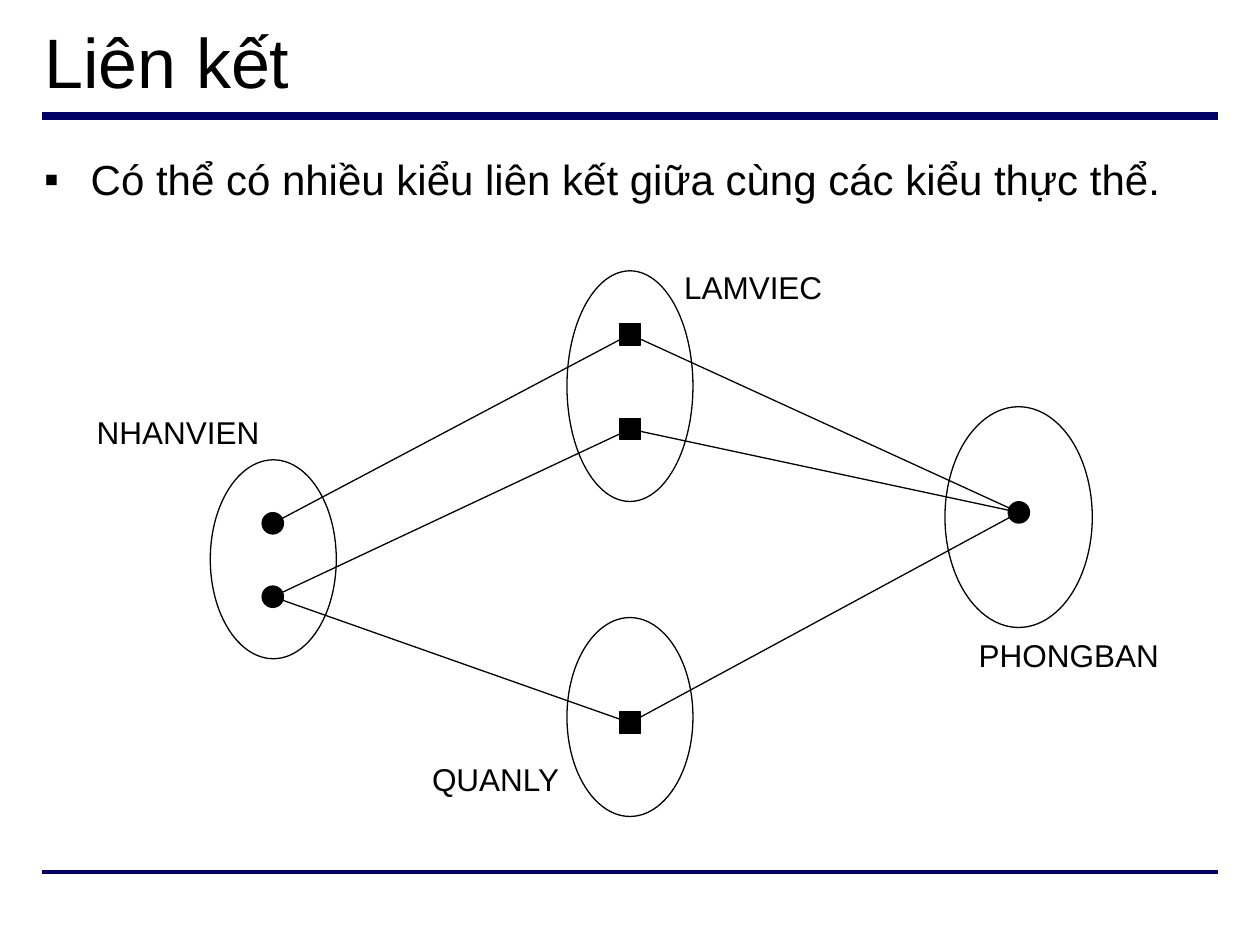
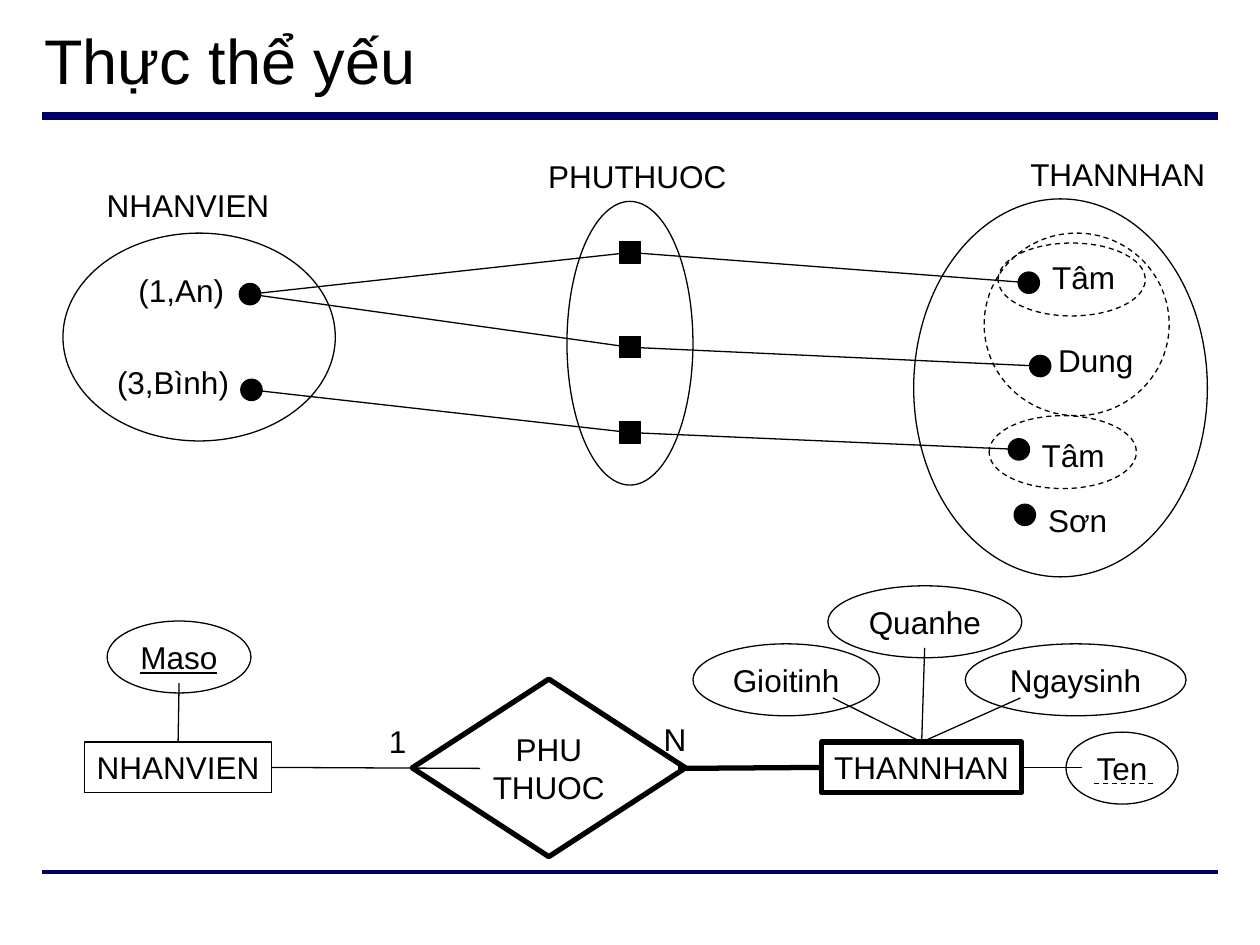
from lxml.etree import SubElement
from pptx import Presentation
from pptx.dml.color import RGBColor
from pptx.enum.dml import MSO_LINE
from pptx.enum.shapes import MSO_CONNECTOR, MSO_SHAPE
from pptx.enum.text import MSO_ANCHOR, MSO_AUTO_SIZE, PP_ALIGN
from pptx.oxml.ns import qn
from pptx.util import Cm, Pt

BLACK = RGBColor(0x00, 0x00, 0x00)
WHITE = RGBColor(0xFF, 0xFF, 0xFF)
NAVY = RGBColor(0x00, 0x00, 0x66)
FONT = "Arial"
THIN, THICK = 0.75, 3
MARK = 0.43
ROW = 1.02
OVAL = 1.45
MID = 12.7
TOP, LEFT, RIGHT = 0, 1, 3


def style(frame, size=18, align=PP_ALIGN.LEFT):
    for para in frame.paragraphs:
        para.alignment = align
        for run in para.runs:
            run.font.name = FONT
            run.font.size = Pt(size)
            run.font.color.rgb = BLACK


def add_line(slide, start, end, width=THIN, color=BLACK, dash=None):
    line = slide.shapes.add_connector(
        MSO_CONNECTOR.STRAIGHT, *(Cm(v) for v in (*start, *end)))
    line.line.color.rgb = color
    line.line.width = Pt(width)
    if dash:
        line.line.dash_style = dash
    SubElement(line._element.spPr, qn("a:effectLst"))
    return line


def add_link(slide, start, box, side, width=THIN):
    add_line(slide, start, start, width).end_connect(box, side)


def add_node(slide, kind, box, text="", fill=WHITE, width=THIN, dash=None):
    node = slide.shapes.add_shape(kind, *(Cm(v) for v in box))
    node.shadow.inherit = False
    if fill is None:
        node.fill.background()
    else:
        node.fill.solid()
        node.fill.fore_color.rgb = fill
    node.line.color.rgb = BLACK
    node.line.width = Pt(width)
    if dash:
        node.line.dash_style = dash
    if text:
        frame = node.text_frame
        frame.word_wrap = False
        frame.vertical_anchor = MSO_ANCHOR.MIDDLE
        frame.text = text
        style(frame, align=PP_ALIGN.CENTER)
    return node


def add_set(slide, *box, dash=None):
    add_node(slide, MSO_SHAPE.OVAL, box, fill=None, dash=dash)


def add_mark(slide, kind, point):
    x, y = point
    box = (x - MARK / 2, y - MARK / 2, MARK, MARK)
    add_node(slide, kind, box, fill=BLACK)


def add_marks(slide, dots, squares):
    for dot in dots:
        add_mark(slide, MSO_SHAPE.OVAL, dot)
    for square in squares:
        add_mark(slide, MSO_SHAPE.RECTANGLE, square)


def add_label(slide, text, x, y, width):
    box = slide.shapes.add_textbox(Cm(x), Cm(y), Cm(width), Cm(ROW))
    frame = box.text_frame
    frame.word_wrap = True
    frame.auto_size = MSO_AUTO_SIZE.SHAPE_TO_FIT_TEXT
    frame.text = text
    style(frame)


def add_bullet(slide, text):
    box = slide.shapes.add_textbox(Cm(0.64), Cm(2.97), Cm(24.13), Cm(14.07))
    frame = box.text_frame
    frame.word_wrap = True
    frame.text = text
    props = frame.paragraphs[0]._p.get_or_add_pPr()
    props.set("marL", str(Cm(0.94)))
    props.set("indent", str(-Cm(0.94)))
    SubElement(SubElement(props, qn("a:buClr")), qn("a:srgbClr"), val=str(BLACK))
    SubElement(props, qn("a:buFont"), typeface=FONT)
    SubElement(props, qn("a:buChar"), char="▪")
    style(frame, 24)


def add_page(deck, text, size, y, height):
    slide = deck.slides.add_slide(deck.slide_layouts[5])
    for level, width in ((2.34, 4.5), (17.58, 2.25)):
        add_line(slide, (0.84, level), (24.56, level), width, NAVY)
    title = slide.shapes.title
    title.left, title.top = Cm(0.64), Cm(y)
    title.width, title.height = Cm(24.13), Cm(height)
    frame = title.text_frame
    frame.auto_size = MSO_AUTO_SIZE.NONE
    frame.vertical_anchor = MSO_ANCHOR.MIDDLE
    frame.text = text
    style(frame, size)
    return slide


def draw_links(deck):
    slide = add_page(deck, "Liên kết", 40, 0.23, 1.96)
    add_bullet(slide, "Có thể có nhiều kiểu liên kết giữa cùng các kiểu thực thể.")
    for box in ((19.05, 8.2, 2.97, 4.45), (11.43, 5.46, 2.54, 4.65),
                (11.43, 12.45, 2.54, 4.01), (4.24, 9.27, 2.54, 4.01)):
        add_node(slide, MSO_SHAPE.OVAL, box)
    staff = [(5.5, 10.55), (5.5, 12.03)]
    room = (20.54, 10.33)
    ties = [(MID, y) for y in (6.74, 8.65, 14.57)]
    add_marks(slide, [*staff, room], ties)
    for person, tie in zip((staff[0], staff[1], staff[1]), ties):
        add_line(slide, person, tie)
        add_line(slide, tie, room)
    for label in (("NHANVIEN", 1.7, 8.2, 4.01), ("PHONGBAN", 19.48, 12.7, 4.24),
                  ("LAMVIEC", 13.54, 5.28, 3.61), ("QUANLY", 8.46, 15.19, 3.18)):
        add_label(slide, *label)


def draw_sets(slide):
    staff = [(5.04, 5.93), (5.07, 7.86)]
    ties = [(MID, y) for y in (5.09, 7, 8.72)]
    kin = [(20.74, 5.7), (20.97, 7.38), (20.54, 9.06), (20.66, 10.38)]
    for person, tie, child in zip((staff[0], staff[0], staff[1]), ties, kin):
        add_line(slide, person, tie)
        add_line(slide, tie, child)
    add_set(slide, 11.43, 4.06, 2.54, 5.72)
    add_set(slide, 1.27, 4.7, 5.49, 4.19)
    add_set(slide, 18.42, 4.01, 5.92, 7.62)
    for box in ((19.84, 4.7, 3.73, 3.68), (19.94, 8.38, 2.97, 1.47),
                (20.12, 4.9, 2.97, 1.47)):
        add_set(slide, *box, dash=MSO_LINE.DASH)
    add_marks(slide, staff + kin, ties)
    for label in (("PHUTHUOC", 10.8, 3.05, 4.3), ("NHANVIEN", 1.9, 3.63, 4),
                  ("THANNHAN", 20.52, 3, 4.25), ("(1,An)", 2.54, 5.33, 2.45),
                  ("(3,Bình)", 2.11, 7.19, 3), ("Tâm", 20.96, 5.08, 2),
                  ("Dung", 21.08, 6.76, 2.25), ("Tâm", 20.75, 8.66, 2),
                  ("Sơn", 20.88, 9.98, 1.9)):
        add_label(slide, *label)


def draw_model(slide):
    staff = add_node(slide, MSO_SHAPE.RECTANGLE, (1.7, 14.96, 3.78, ROW), "NHANVIEN")
    kin = add_node(slide, MSO_SHAPE.RECTANGLE, (16.56, 14.96, 4.04, ROW),
                   "THANNHAN", width=THICK)
    add_node(slide, MSO_SHAPE.DIAMOND, (8.31, 13.69, 5.51, 3.58),
             "PHU\nTHUOC", None, THICK)
    fields = (
        ("Maso", 2.16, 12.52, 2.9, (3.61, 13.77), staff, TOP),
        ("Ngaysinh", 19.46, 12.98, 4.45, (20.57, 14.07), kin, TOP),
        ("Quanhe", 16.69, 11.81, 3.91, (18.64, 13.06), kin, TOP),
        ("Gioitinh", 13.97, 12.98, 3.76, (16.79, 14.07), kin, TOP),
        ("Ten", 21.49, 14.76, 2.26, (21.82, 15.47), kin, RIGHT),
    )
    for name, x, y, width, start, owner, side in fields:
        node = add_node(slide, MSO_SHAPE.OVAL, (x, y, width, OVAL), name)
        node.text_frame.paragraphs[0].runs[0].font.underline = name == "Maso"
        add_link(slide, start, owner, side)
    add_link(slide, (9.68, 15.49), staff, RIGHT)
    add_link(slide, (13.67, 15.49), kin, LEFT, THICK)
    add_line(slide, (22.05, 15.8), (23.24, 15.8), dash=MSO_LINE.DASH)
    add_label(slide, "1", 7.59, 14.43, 1)
    add_label(slide, "N", 13.13, 14.4, 1.15)


def main():
    deck = Presentation()
    deck.slide_width, deck.slide_height = Cm(25.4), Cm(19.05)
    draw_links(deck)
    weak = add_page(deck, "Thực thể yếu", 36, 0.3, 1.78)
    draw_sets(weak)
    draw_model(weak)
    deck.save("out.pptx")


if __name__ == "__main__":
    main()
